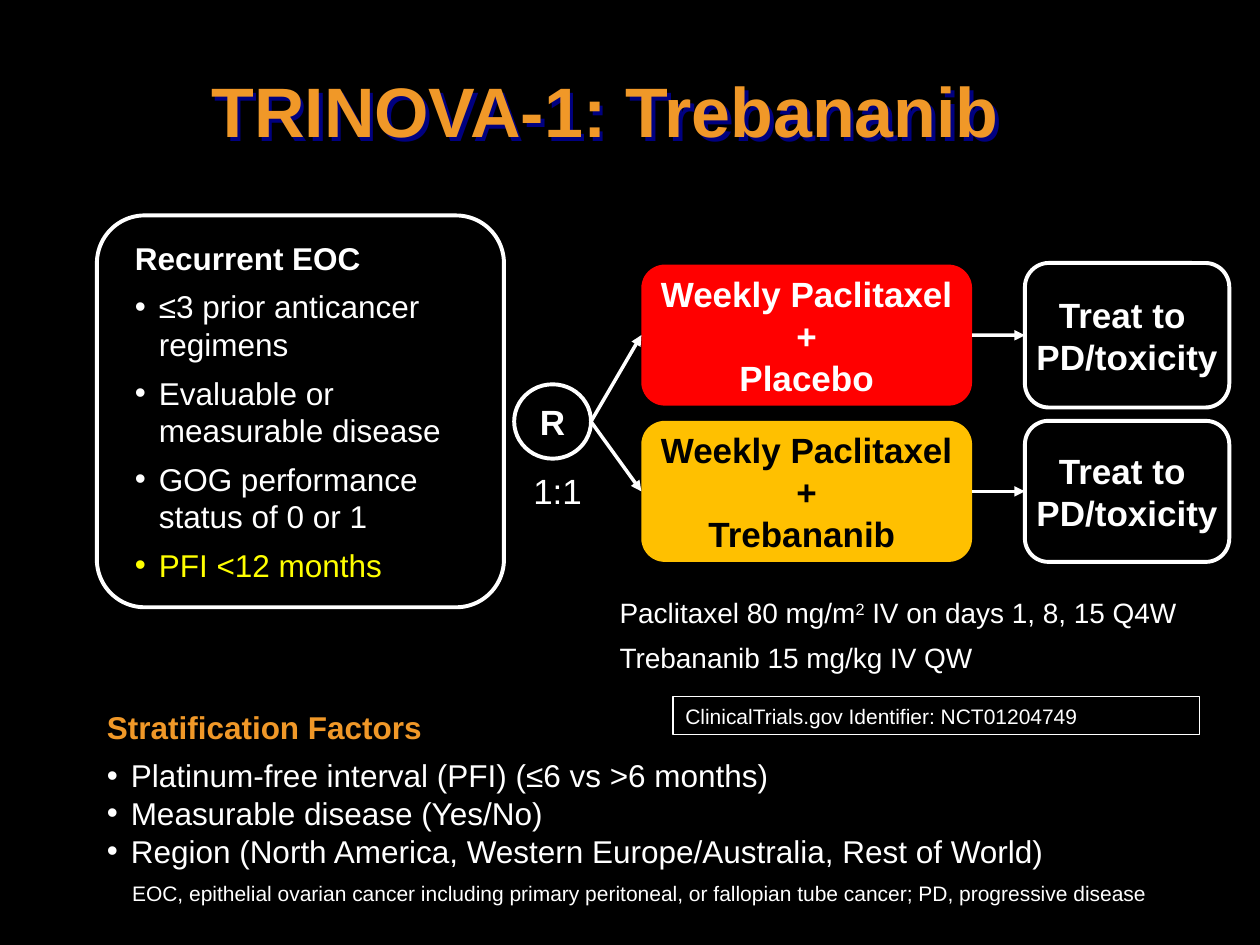
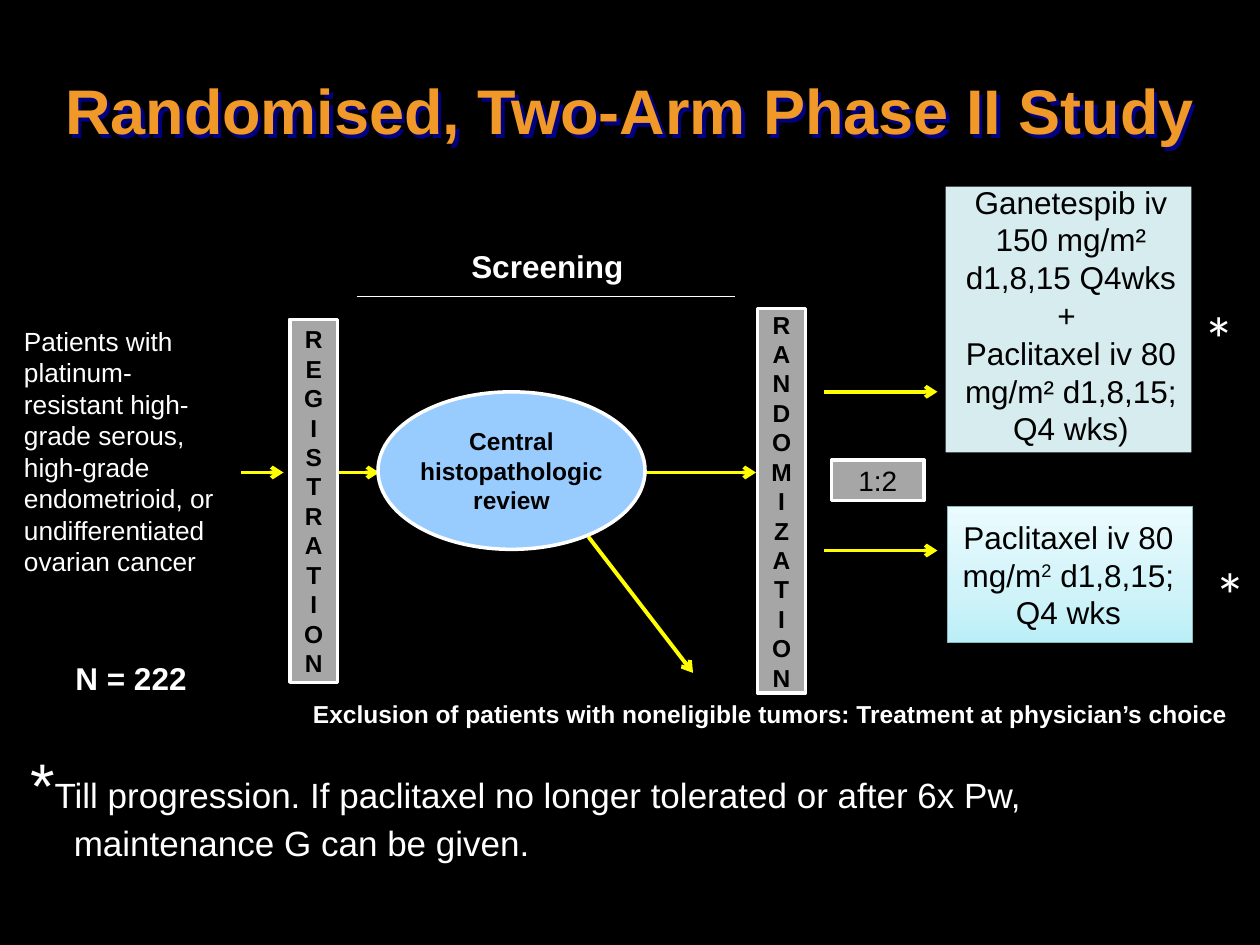
"""Build two slides on ovarian cancer trial designs."""
from copy import deepcopy

from lxml import etree
from pptx import Presentation
from pptx.dml.color import RGBColor
from pptx.enum.shapes import MSO_CONNECTOR, MSO_SHAPE
from pptx.enum.text import MSO_ANCHOR, PP_ALIGN
from pptx.oxml.ns import qn
from pptx.util import Pt

ROUNDED = MSO_SHAPE.ROUNDED_RECTANGLE
RECTANGLE = MSO_SHAPE.RECTANGLE
OVAL = MSO_SHAPE.OVAL
STRAIGHT = MSO_CONNECTOR.STRAIGHT
LEFT = PP_ALIGN.LEFT
CENTER = PP_ALIGN.CENTER
TOP = MSO_ANCHOR.TOP
MIDDLE = MSO_ANCHOR.MIDDLE

BLACK = RGBColor(0x00, 0x00, 0x00)
WHITE = RGBColor(0xFF, 0xFF, 0xFF)
ORANGE = RGBColor(0xF0, 0x98, 0x28)
YELLOW = RGBColor(0xFF, 0xFF, 0x00)
AMBER = RGBColor(0xFF, 0xC0, 0x00)
RED = RGBColor(0xFF, 0x00, 0x00)
GRAY = RGBColor(0xA6, 0xA6, 0xA6)
SKY = RGBColor(0x98, 0xCC, 0xFF)
PALE_TEAL = RGBColor(0xD6, 0xEC, 0xEF)
TEAL_LINE = RGBColor(0x86, 0xB9, 0xC0)
TEAL_STOPS = [(0, RGBColor(0xBB, 0xEF, 0xF8)), (0.35, RGBColor(0xCF, 0xF3, 0xF9)),
              (1, RGBColor(0xEB, 0xFB, 0xFE))]


def add_box(slide, kind, box, lines=(), size=18, color=WHITE, bold=False, align=LEFT,
            anchor=TOP, inset=7.2, fill=None, line=None, line_width=2.25, font="Arial"):
    """Add a text box (kind None) or preset shape; ^ switches superscript on and off."""
    box = [Pt(value) for value in box]
    if kind is None:
        shape = slide.shapes.add_textbox(*box)
    else:
        shape = slide.shapes.add_shape(kind, *box)
        shape.shadow.inherit = False
        if fill is None:
            shape.fill.background()
        else:
            shape.fill.solid()
            shape.fill.fore_color.rgb = fill
        if line is None:
            shape.line.fill.background()
        else:
            shape.line.color.rgb = line
            shape.line.width = Pt(line_width)
    frame = shape.text_frame
    frame.word_wrap = True
    frame.vertical_anchor = anchor
    frame.margin_left = frame.margin_right = Pt(inset)
    frame.text = "\n".join(text.split("^")[0] for text in lines)
    for paragraph, text in zip(frame.paragraphs, lines):
        paragraph.alignment = align
        for part in text.split("^")[1:]:
            paragraph.add_run().text = part
        for index, run in enumerate(paragraph.runs):
            run.font.name = font
            run.font.size = Pt(size)
            run.font.bold = bold
            run.font.color.rgb = color
            if index % 2:
                run.font._element.set("baseline", "30000")
    return shape


def add_line(slide, start, end, color, width, head=None):
    """Add a straight line with an optional arrowhead at its end."""
    connector = slide.shapes.add_connector(STRAIGHT, *[Pt(value) for value in start + end])
    connector.line.color.rgb = color
    connector.line.width = Pt(width)
    properties = connector._element.spPr
    if head:
        etree.SubElement(properties.find(qn("a:ln")), qn("a:tailEnd"), type=head)
    etree.SubElement(properties, qn("a:effectLst"))
    return connector


presentation = Presentation()
presentation.slide_width = Pt(720)
presentation.slide_height = Pt(540)

slides = []
for title, box, size in [
    ("TRINOVA-1: Trebananib ", (6.5, 32.4, 689.8, 68.4), 40),
    ("Randomised, Two-Arm Phase II Study", (26.6, 20.9, 666.7, 90), 36),
]:
    slide = presentation.slides.add_slide(presentation.slide_layouts[6])
    slide.background.fill.solid()
    slide.background.fill.fore_color.rgb = BLACK
    heading = add_box(slide, None, box, [title], size, ORANGE, True, CENTER, MIDDLE)
    heading.text_frame.paragraphs[0].line_spacing = 0.85
    effects = etree.SubElement(heading._element.spPr, qn("a:effectLst"))
    shadow = etree.SubElement(effects, qn("a:outerShdw"), dist="35921", dir="2700000")
    etree.SubElement(shadow, qn("a:srgbClr"), val="000080")
    slides.append(slide)
trinova, phase_two = slides

add_box(trinova, None, (68.4, 491.8, 624.2, 36.7),
        ["EOC, epithelial ovarian cancer including primary peritoneal, or fallopian tube cancer; "
         "PD, progressive disease"], 12, anchor=MIDDLE)
factors = add_box(trinova, None, (54, 401, 576, 111.6), [
    "Stratification Factors",
    "Platinum-free interval (PFI) (≤6 vs >6 months)",
    "Measurable disease (Yes/No)",
    "Region (North America, Western Europe/Australia, Rest of World)",
])
factors.text_frame.paragraphs[1].space_before = Pt(6)
eligibility = add_box(trinova, ROUNDED, (55.4, 123.1, 232.6, 223.9), [
    "Recurrent EOC",
    "≤3 prior anticancer regimens",
    "Evaluable or measurable disease",
    "GOG performance status of 0 or 1",
    "PFI <12 months",
], anchor=MIDDLE, inset=0, line=WHITE)
eligibility.adjustments[0] = 0.122
for paragraph in eligibility.text_frame.paragraphs[:-1]:
    paragraph.space_after = Pt(6)

for shape, margin in [(factors, 0), (eligibility, 13.7)]:
    header, *items = shape.text_frame.paragraphs
    header._p.get_or_add_pPr().set("marL", str(Pt(margin)))
    header.runs[0].font.bold = True
    for paragraph in items:
        properties = paragraph._p.get_or_add_pPr()
        properties.set("marL", str(Pt(margin + 13.7)))
        properties.set("indent", str(Pt(-13.7)))
        etree.SubElement(properties, qn("a:buFont"), typeface="Arial")
        etree.SubElement(properties, qn("a:buChar"), char="•")
factors.text_frame.paragraphs[0].runs[0].font.color.rgb = ORANGE
last_criterion = eligibility.text_frame.paragraphs[-1]
last_criterion.font.color.rgb = YELLOW
last_criterion.runs[0].font.color.rgb = YELLOW

add_box(trinova, OVAL, (293.8, 219.6, 43.9, 42.5), ["R"], 20, WHITE, True, CENTER, MIDDLE,
        line=WHITE)
add_box(trinova, None, (279.4, 265, 78.5, 31.7), ["1:1"], 20, align=CENTER)
for drug, top, fill, color, treat_top, treat_height in [
    ("Placebo", 151.2, RED, WHITE, 150.3, 82.6),
    ("Trebananib ", 240.5, AMBER, BLACK, 240.5, 80.6),
]:
    arm = add_box(trinova, ROUNDED, (366.5, top, 189, 80.6), ["Weekly Paclitaxel", "+", drug],
                  20, color, True, CENTER, MIDDLE, 1.4, fill)
    treatment = add_box(trinova, ROUNDED, (585.7, treat_top, 116.8, treat_height),
                        ["Treat to ", "PD/toxicity"], 20, WHITE, True, CENTER, MIDDLE, 0,
                        line=WHITE)
    middle = top + 40.3
    add_line(trinova, (337.7, 240.9), (366.5, middle), WHITE, 2, "triangle").end_connect(arm, 1)
    arrow = add_line(trinova, (555.5, middle), (585.7, middle), WHITE, 2, "triangle")
    arrow.begin_connect(arm, 3)
    arrow.end_connect(treatment, 1)

doses = add_box(trinova, None, (347, 337, 361.4, 58.3),
                ["Paclitaxel 80 mg/m^2^ IV on days 1, 8, 15 Q4W", "Trebananib 15 mg/kg IV QW"], 16)
doses.text_frame.paragraphs[1].space_before = Pt(6)
add_box(trinova, RECTANGLE, (384.5, 398.2, 301, 21.6),
        ["ClinicalTrials.gov Identifier: NCT01204749"], 12, line=WHITE, line_width=0.75)

footnote = add_box(phase_two, None, (10.1, 422.6, 701.3, 74.9), [
    "*Till progression. If paclitaxel no longer tolerated or after 6x Pw, maintenance "
    "G can be given."], 20)
paragraph = footnote.text_frame.paragraphs[0]
properties = paragraph._p.get_or_add_pPr()
properties.set("marL", str(Pt(25)))
properties.set("indent", str(Pt(-25)))
body = paragraph.runs[0]
star = deepcopy(body._r)
body._r.addprevious(star)
body.text = body.text[1:]
paragraph.runs[0].text = "*"
paragraph.runs[0].font.size = Pt(36)

add_box(phase_two, RECTANGLE, (540.4, 106.6, 140.4, 151.9), fill=PALE_TEAL)
add_box(phase_two, None, (540, 100.8, 144, 159.8), [
    "Ganetespib iv 150 mg/m² d1,8,15 Q4wks", "+ ", "Paclitaxel iv 80 mg/m² d1,8,15; Q4 wks)",
], color=BLACK, align=CENTER)
control = add_box(phase_two, RECTANGLE, (541.4, 289.4, 140, 78), line=TEAL_LINE, line_width=0.75)
control.fill.gradient()
control.fill.gradient_angle = 90
stop_list = control._element.spPr.find(".//" + qn("a:gsLst"))
stop_list.insert(1, deepcopy(stop_list[0]))
for stop, (position, color) in zip(control.fill.gradient_stops, TEAL_STOPS):
    stop.position = position
    stop.color.rgb = color
add_box(phase_two, None, (540, 292.3, 141.1, 72.7),
        ["Paclitaxel iv 80 mg/m^2^ d1,8,15; Q4 wks"], color=BLACK, align=CENTER)
for left, top in [(680.4, 167.8), (686.9, 313.9)]:
    add_box(phase_two, None, (left, top, 32, 51.1), ["*"], 36, font="Calibri")

add_box(phase_two, None, (36, 373, 113.8, 28.8), ["N = 222"], bold=True)
add_box(phase_two, None, (213.8, 137.5, 198, 30.2), ["Screening"], bold=True, align=CENTER)
add_line(phase_two, (203.8, 169.5), (419.8, 169.5), WHITE, 0.75)
add_box(phase_two, None, (10.1, 182.2, 121.7, 152.6), [
    "Patients with platinum-resistant high-grade serous, high-grade endometrioid, "
    "or undifferentiated ovarian cancer"], 15, inset=3.6)
add_box(phase_two, None, (165.6, 396, 549.4, 24.5),
        ["Exclusion of patients with noneligible tumors: Treatment at physician’s choice"],
        14, bold=True, align=CENTER)

for start, end in [
    ((138, 270), (162, 270)),
    ((193, 270), (216.7, 270)),
    ((347.8, 270), (432, 270)),
    ((336.2, 306.7), (396, 384.5)),
    ((470.9, 223.9), (535.7, 223.9)),
    ((470.9, 314.6), (535.7, 314.6)),
]:
    add_line(phase_two, start, end, YELLOW, 2.25, "arrow")

add_box(phase_two, OVAL, (216, 223.9, 152.6, 90), ["Central histopathologic review"], 14, BLACK,
        True, CENTER, MIDDLE, 0, SKY, WHITE, 2)
for word, left, top, height in [
    ("REGISTRATION", 165.6, 182.5, 207.4),
    ("RANDOMIZATION", 432.9, 176.4, 219.6),
]:
    add_box(phase_two, RECTANGLE, (left, top, 27.4, height), list(word), 14, BLACK, True, CENTER,
            MIDDLE, fill=GRAY, line=WHITE, line_width=2)
add_box(phase_two, RECTANGLE, (475.2, 262.8, 52.9, 23.3), ["1:2"], 16, BLACK, False, CENTER,
        MIDDLE, fill=GRAY, line=WHITE, line_width=2)

presentation.save("out.pptx")
